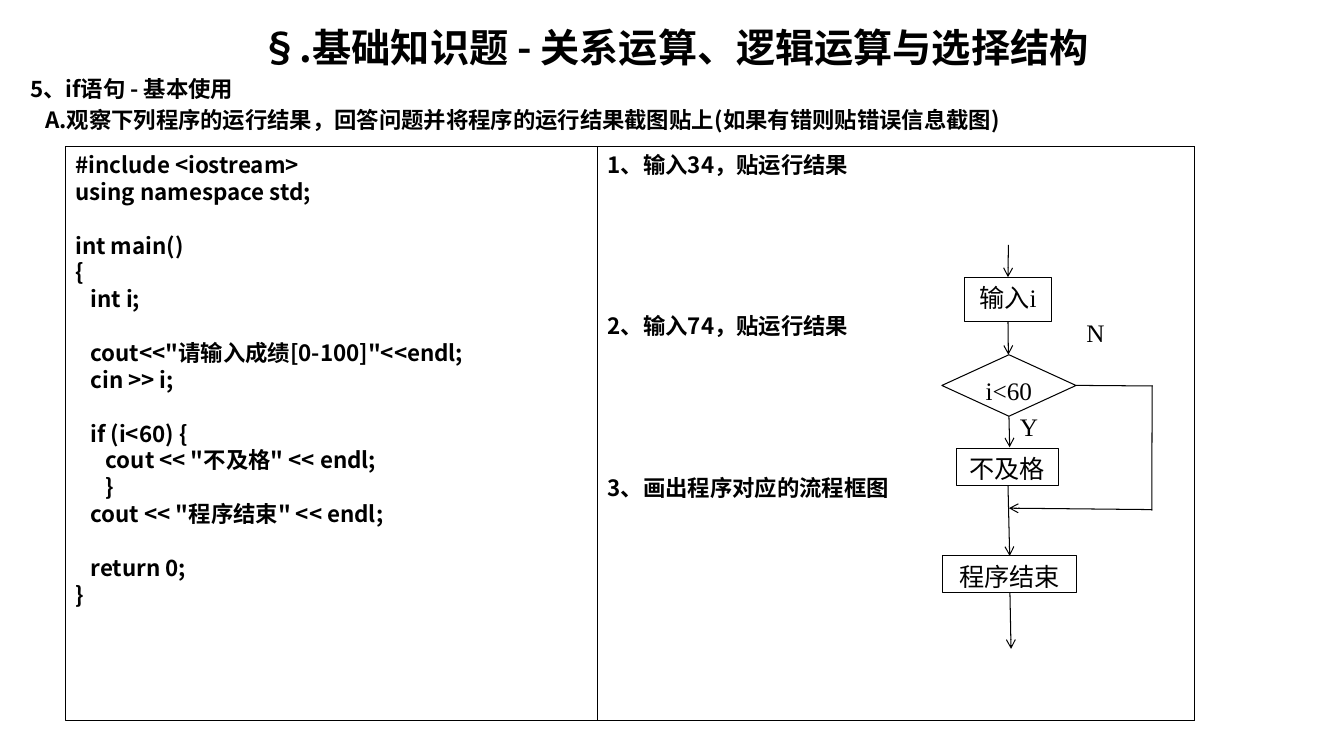
from lxml import etree
from pptx import Presentation
from pptx.dml.color import RGBColor
from pptx.enum import shapes, text
from pptx.oxml import ns
from pptx.util import Pt

CODE = '''#include <iostream>
using namespace std;

int main()
{
   int i;

   cout<<"请输入成绩[0-100]"<<endl;
   cin >> i;

   if (i<60) {
      cout << "不及格" << endl;
      }
   cout << "程序结束" << endl;

   return 0;
}'''
TASKS = ["1、输入34，贴运行结果", "2、输入74，贴运行结果", "3、画出程序对应的流程框图"]
HEADINGS = [
    ("§.基础知识题 - 关系运算、逻辑运算与选择结构", 28, 0),
    ("5、if语句 - 基本使用", 16, 0),
    ("A.观察下列程序的运行结果，回答问题并将程序的运行结果截图贴上(如果有错则贴错误信息截图)", 16, 10.8),
]


def color(value):
    return RGBColor.from_string(value)


class Sheet:
    sans = "Noto Sans CJK SC"
    serif = "Times New Roman"
    ink = "000000"
    body_size = 16
    flow_size = 18
    leading = 1.2
    stroke = 0.75

    def __init__(self, page):
        self.page = page

    def fill_para(self, para, words, font, size, bold=False, center=False, before=0, indent=0):
        para.text = words
        para.alignment = text.PP_ALIGN.CENTER if center else text.PP_ALIGN.LEFT
        if before:
            para.space_before = Pt(before)
        if font == self.sans:
            para.line_spacing = Pt(size * self.leading)
        if indent:
            para._p.get_or_add_pPr().set("marL", str(Pt(indent)))
        para.font.name = font
        para.font.size = Pt(size)
        para.font.bold = bold
        para.font.color.rgb = color(self.ink)
        style = para._p.pPr.find(ns.qn("a:defRPr"))
        etree.SubElement(style, ns.qn("a:ea")).set("typeface", self.sans)

    def text_box(self, left, top, width, height):
        box = self.page.shapes.add_textbox(Pt(left), Pt(top), Pt(width), Pt(height))
        box.text_frame.word_wrap = True
        return box.text_frame

    def outline(self, kind, left, top, width, height, wrap=True):
        box = self.page.shapes.add_shape(kind, Pt(left), Pt(top), Pt(width), Pt(height))
        box.shadow.inherit = False
        box.fill.background()
        box.line.color.rgb = color(self.ink)
        box.line.width = Pt(self.stroke)
        frame = box.text_frame
        frame.word_wrap = wrap
        frame.vertical_anchor = text.MSO_ANCHOR.TOP
        return frame

    def headings(self, rows):
        frame = self.text_box(14.4, 13, 935, 510)
        for index, (words, size, indent) in enumerate(rows):
            para = frame.add_paragraph() if index else frame.paragraphs[0]
            self.fill_para(para, words, self.sans, size, True, center=index == 0,
                           before=3.2 if index else 0, indent=indent)

    def panel(self, left, width, lines):
        frame = self.outline(shapes.MSO_SHAPE.RECTANGLE, left, 104.4, width, 410.4)
        gap = 0
        for index, words in enumerate(lines):
            if not words:
                gap += self.body_size * self.leading
                continue
            para = frame.add_paragraph() if index else frame.paragraphs[0]
            self.fill_para(para, words, self.sans, self.body_size, True, before=gap)
            gap = 0

    def step(self, kind, words, left, top, width, height):
        frame = self.outline(kind, left, top, width, height, wrap=False)
        self.fill_para(frame.paragraphs[0], words, self.serif, self.flow_size, center=True)

    def label(self, words, left, top, width):
        frame = self.text_box(left, top, width, 29)
        self.fill_para(frame.paragraphs[0], words, self.serif, self.flow_size)

    def line(self, start, end, arrow=False):
        ends = [Pt(value) for value in (*start, *end)]
        link = self.page.shapes.add_connector(shapes.MSO_CONNECTOR.STRAIGHT, *ends)
        link.line.color.rgb = color(self.ink)
        link.line.width = Pt(self.stroke)
        outline = link._element.spPr.find(ns.qn("a:ln"))
        if arrow:
            etree.SubElement(outline, ns.qn("a:tailEnd")).set("type", "arrow")
        etree.SubElement(link._element.spPr, ns.qn("a:effectLst"))


def main():
    deck = Presentation()
    deck.slide_width, deck.slide_height = Pt(960), Pt(540)
    sheet = Sheet(deck.slides.add_slide(deck.slide_layouts[6]))

    sheet.headings(HEADINGS)
    sheet.panel(46.8, 806.8, CODE.split("\n"))
    sheet.panel(427, 426.4, ("\n" * 6).join(TASKS).split("\n"))

    process = shapes.MSO_SHAPE.FLOWCHART_PROCESS
    for step in [
        (shapes.MSO_SHAPE.RECTANGLE, "输入i", 689, 198, 62, 31.7),
        (shapes.MSO_SHAPE.FLOWCHART_DECISION, "i<60", 672.8, 253.4, 95.8, 43.9),
        (process, "不及格", 683, 320.2, 73, 26.3),
        (process, "程序结束", 673, 397.1, 96, 26.3),
    ]:
        sheet.step(*step)

    sheet.label("Y", 721.4, 290.2, 23)
    sheet.label("N", 769, 223.2, 41)

    for start, end in [
        ((720.3, 175), (720, 198)),
        ((720, 229.7), (720.3, 253.4)),
        ((720.7, 297.3), (721.2, 319.5)),
        ((720, 346.5), (721.2, 397.1)),
        ((823, 364), (720.7, 363)),
        ((721.4, 423.4), (722.2, 463.5)),
    ]:
        sheet.line(start, end, arrow=True)
    sheet.line((768.6, 275.3), (823.5, 275.7))
    sheet.line((823, 275.7), (822.7, 364.8))

    deck.save("out.pptx")


if __name__ == "__main__":
    main()
